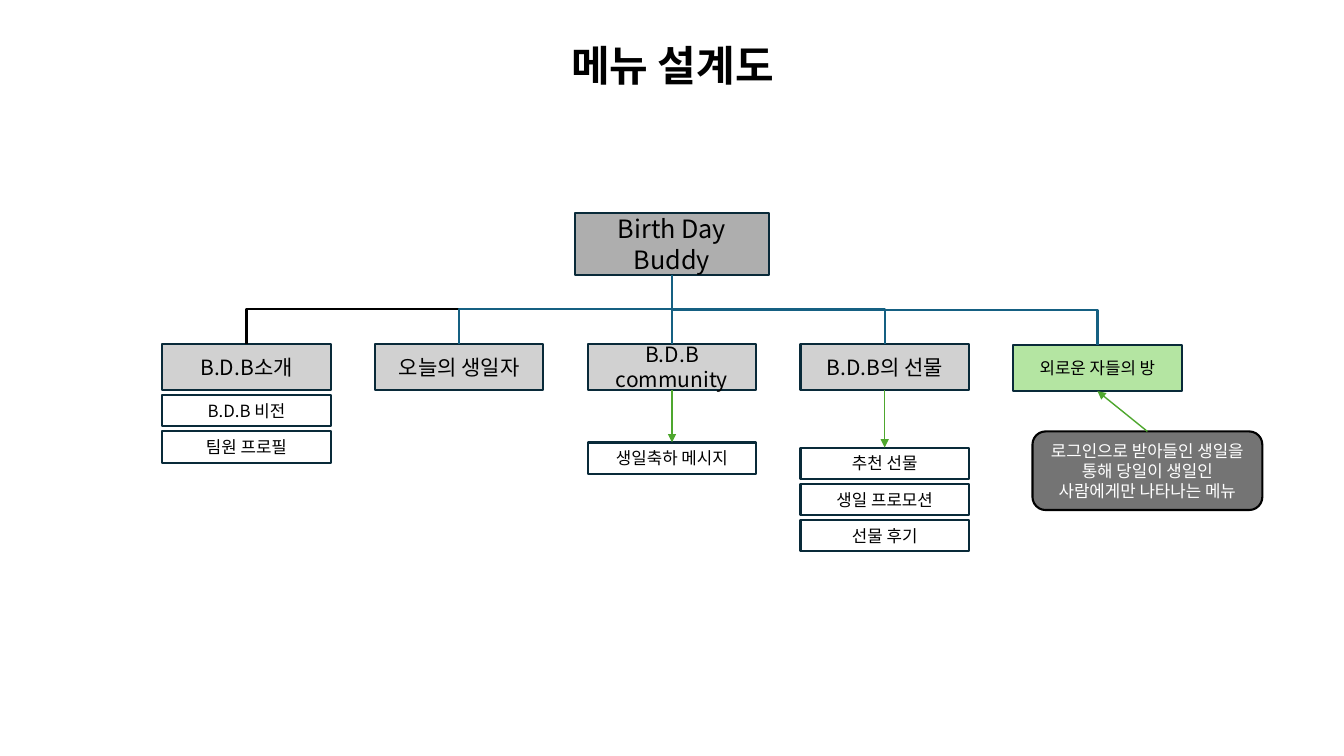
from lxml.etree import SubElement
from pptx import Presentation
from pptx.dml.color import RGBColor
from pptx.enum.shapes import MSO_CONNECTOR, MSO_SHAPE
from pptx.enum.text import MSO_ANCHOR, MSO_AUTO_SIZE, PP_ALIGN
from pptx.oxml.ns import qn
from pptx.util import Inches, Pt

FONT = "Noto Sans CJK KR"
HEX = {"black": "000000", "white": "FFFFFF", "edge": "092A39", "root": "AEAEAE",
       "menu": "D1D1D1", "lone": "B4E5A2", "note": "747474",
       "blue": "156082", "green": "4EA72E"}

TITLE = "메뉴 설계도"
ROOT = "Birth Day Buddy"
NOTE = "로그인으로 받아들인 생일을 통해 당일이 생일인 사람에게만 나타나는 메뉴"
# label, fill, size, top, branch colour, top of first item, arrow to items, items
MENUS = [
    ("B.D.B소개", "menu", 15, 3.41, "black", 3.92, False, ["B.D.B 비전", "팀원 프로필"]),
    ("오늘의 생일자", "menu", 15, 3.41, "blue", 0, False, []),
    ("B.D.B community", "menu", 15, 3.41, "blue", 4.39, True, ["생일축하 메시지"]),
    ("B.D.B의 선물", "menu", 15, 3.41, "blue", 4.44, True,
     ["추천 선물", "생일 프로모션", "선물 후기"]),
    ("외로운 자들의 방", "lone", 12, 3.42, "blue", 0, False, []),
]
LEFT, STEP, WIDE = 1.61, 2.11, 1.67
MENU_H, ITEM_H, ITEM_STEP = 0.46, 0.31, 0.36
MID = LEFT + 2 * STEP + WIDE / 2
ROOT_W = 1.93


def color(name):
    return RGBColor.from_string(HEX[name])


def write(shape, text, size=12, ink="black", bold=False, spacing=1.0):
    frame = shape.text_frame
    frame.word_wrap = True
    frame.auto_size = MSO_AUTO_SIZE.NONE
    frame.vertical_anchor = MSO_ANCHOR.MIDDLE
    para = frame.paragraphs[0]
    para.alignment = PP_ALIGN.CENTER
    para.line_spacing = spacing
    run = para.add_run()
    run.text = text
    font = run.font
    font.size, font.bold, font.name = Pt(size), bold, FONT
    font.color.rgb = color(ink)
    SubElement(run._r.get_or_add_rPr(), qn("a:ea")).set("typeface", FONT)


def box(text, x, y, w, h, fill, edge="edge", kind=MSO_SHAPE.RECTANGLE, **form):
    shape = slide.shapes.add_shape(kind, Inches(x), Inches(y), Inches(w), Inches(h))
    shape.shadow.inherit = False
    shape.fill.solid()
    shape.fill.fore_color.rgb = color(fill)
    shape.line.color.rgb = color(edge)
    shape.line.width = Pt(1.5)
    write(shape, text, **form)
    return shape


def join(start, end, ink, width, kind=MSO_CONNECTOR.STRAIGHT, sides=(2, 0)):
    line = slide.shapes.add_connector(kind, 0, 0, 0, 0)
    line.begin_connect(start, sides[0])
    line.end_connect(end, sides[1])
    line.line.color.rgb = color(ink)
    line.line.width = Pt(width)
    SubElement(line._element.spPr, qn("a:effectLst"))
    return line


def arrow(start, end, sides=(2, 0)):
    line = join(start, end, "green", 1, sides=sides)
    SubElement(line.line._get_or_add_ln(), qn("a:tailEnd")).set("type", "triangle")


def branch(start, end, ink):
    """Join two boxes by a line that leaves and arrives vertically."""
    shift = end.left + end.width // 2 - start.left - start.width // 2
    if abs(shift) < Inches(0.02):
        join(start, end, ink, 1.5)
        return
    line = join(start, end, ink, 1.5, MSO_CONNECTOR.ELBOW)
    x, y = (line.begin_x + line.end_x) // 2, (line.begin_y + line.end_y) // 2
    w, h = abs(line.end_y - line.begin_y), abs(shift)
    line.left, line.top, line.width, line.height = x - w // 2, y - h // 2, w, h
    frame = line._element.spPr.find(qn("a:xfrm"))
    frame.set("rot", str(90 * 60000))
    frame.set("flipH", "0")
    frame.set("flipV", "1" if shift > 0 else "0")


deck = Presentation()
deck.slide_width, deck.slide_height = Inches(13.33), Inches(7.5)
slide = deck.slides.add_slide(deck.slide_layouts[5])

title = slide.shapes.title
title.left, title.top = Inches(3.88), Inches(0.33)
title.width, title.height = Inches(5.58), Inches(0.69)
write(title, TITLE, size=30, bold=True, spacing=0.9)

root = box(ROOT, MID - ROOT_W / 2, 2.11, ROOT_W, 0.62, "root", size=18)
for col, (label, fill, size, top, ink, first, arrowed, items) in enumerate(MENUS):
    x = LEFT + col * STEP
    menu = box(label, x, top, WIDE, MENU_H, fill, size=size)
    branch(root, menu, ink)
    for row, item in enumerate(items):
        part = box(item, x, first + row * ITEM_STEP, WIDE, ITEM_H, "white")
        if arrowed and row == 0:
            arrow(menu, part)

note = box(NOTE, 10.24, 4.28, 2.28, 0.78, "note", edge="black",
           kind=MSO_SHAPE.FLOWCHART_ALTERNATE_PROCESS, ink="white")
arrow(note, menu, sides=(0, 2))

deck.save("out.pptx")
